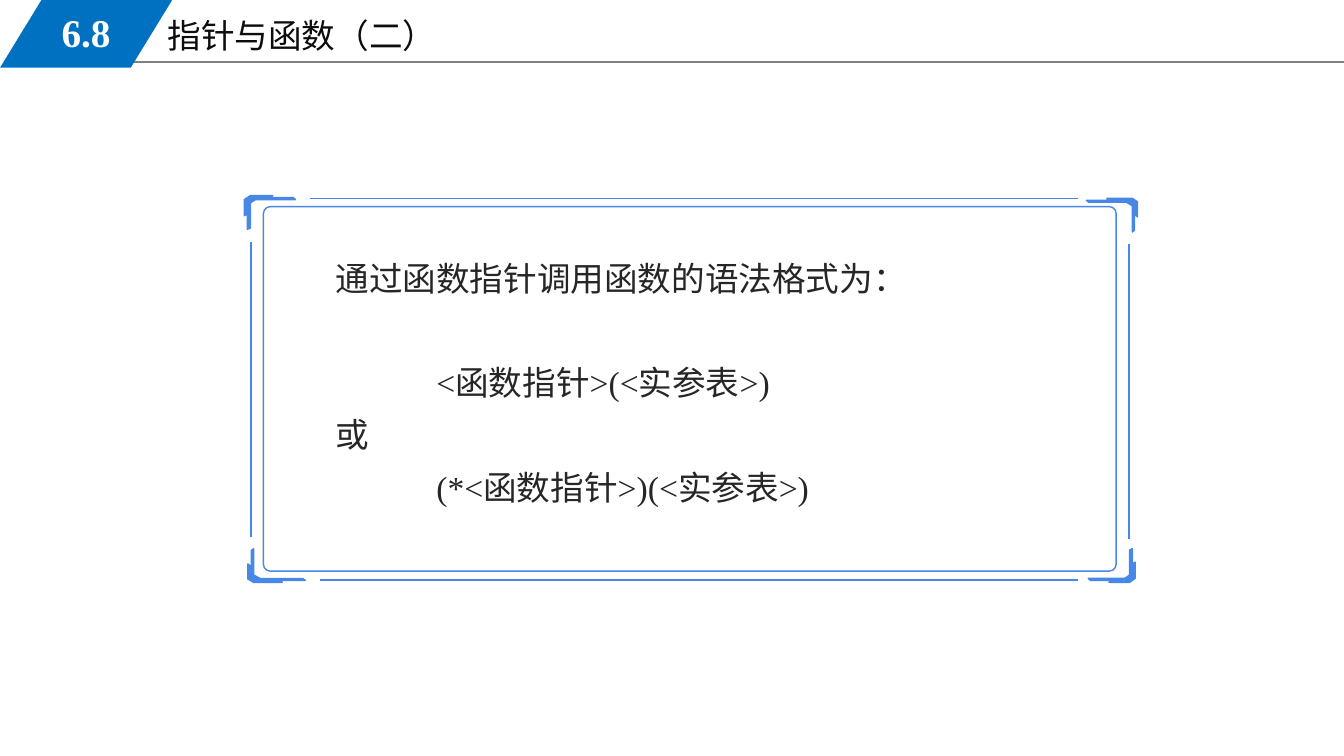
from lxml import etree
from pptx import Presentation
from pptx.dml.color import RGBColor
from pptx.enum import shapes, text
from pptx.oxml import ns
from pptx.util import Pt

BLUE = RGBColor(0x00, 0x70, 0xC0)
SKY = RGBColor(0x47, 0x88, 0xE6)
GREY = RGBColor(0x80, 0x80, 0x80)
INK = RGBColor(0x0D, 0x0D, 0x0D)
DARK = RGBColor(0x26, 0x26, 0x26)
WHITE = RGBColor(0xFF, 0xFF, 0xFF)
FONT = "Times New Roman"

# Bracket outlines in percent of width and height, from the outer corner inward
HOOK = [(12, 0), (56, 0), (50, 6), (96, 6), (100, 12), (22, 12),
        (12, 22), (12, 97), (6, 100), (6, 55), (0, 60), (0, 12)]
CLAW = [(10, 0), (60, 0), (54, 6), (100, 6), (96, 11), (22, 11),
        (10, 22), (10, 100), (6, 95), (6, 46), (0, 55), (0, 10)]


def add_line(slide, x1, y1, x2, y2, color, width):
    line = slide.shapes.add_connector(
        shapes.MSO_CONNECTOR.STRAIGHT, Pt(x1), Pt(y1), Pt(x2), Pt(y2))
    line.line.color.rgb = color
    line.line.width = Pt(width)
    etree.SubElement(line._element.spPr, ns.qn("a:effectLst"))


def add_box(slide, x, y, w, h):
    frame = slide.shapes.add_textbox(Pt(x), Pt(y), Pt(w), Pt(h)).text_frame
    frame.word_wrap = True
    return frame


def add_run(para, words, size, color, bold=False):
    run = para.add_run()
    run.text = words
    run.font.name = FONT
    run.font.size = Pt(size)
    run.font.bold = bold
    run.font.color.rgb = color


def add_tab(para, spot):
    tabs = etree.SubElement(para._p.get_or_add_pPr(), ns.qn("a:tabLst"))
    etree.SubElement(tabs, ns.qn("a:tab"), pos=str(Pt(spot)), algn="l")


def add_hook(slide, points, x, y, w, h):
    """Corner bracket; a negative w or h mirrors it."""
    spots = [(Pt(x + w * u / 100), Pt(y + h * v / 100)) for u, v in points]
    pen = slide.shapes.build_freeform(*spots[0])
    pen.add_line_segments(spots[1:], close=True)
    hook = pen.convert_to_shape()
    hook.shadow.inherit = False
    hook.fill.solid()
    hook.fill.fore_color.rgb = SKY
    hook.line.color.rgb = SKY
    hook.line.width = Pt(1)


def add_head(slide, x, y, w, h, number, title):
    # Rule and title
    add_line(slide, x + 81.4, y + 44.3, x + w, y + 44.3, GREY, 0.75)
    frame = add_box(slide, x + 112.5, y + 6.8, 408, h)
    add_run(frame.paragraphs[0], title, 24, INK)

    # Slanted badge with the section number
    badge = slide.shapes.add_shape(
        shapes.MSO_SHAPE.PARALLELOGRAM, Pt(x), Pt(y), Pt(123), Pt(h))
    badge.adjustments[0] = 0.612
    badge.shadow.inherit = False
    badge.fill.solid()
    badge.fill.fore_color.rgb = BLUE
    badge.line.fill.background()
    frame = add_box(slide, x + 18, y + 1.8, 87, 41.8)
    frame.vertical_anchor = text.MSO_ANCHOR.MIDDLE
    para = frame.paragraphs[0]
    para.alignment = text.PP_ALIGN.CENTER
    add_run(para, number, 28, WHITE, True)


def add_frame(slide, x, y, w, h):
    # Inner rounded panel
    panel = slide.shapes.add_shape(
        shapes.MSO_SHAPE.ROUNDED_RECTANGLE,
        Pt(x + 13.7), Pt(y + 7.9), Pt(w - 28.9), Pt(h - 15.9))
    panel.adjustments[0] = 0.019
    panel.shadow.inherit = False
    panel.fill.background()
    panel.line.color.rgb = SKY
    panel.line.width = Pt(1)

    # Corner brackets
    right, low = x + w, y + h
    add_hook(slide, HOOK, x, y, 36.5, 24)
    add_hook(slide, CLAW, right, y + 2, -36.5, 24)
    add_hook(slide, CLAW, x + 2.6, low, 41, -24)
    add_hook(slide, HOOK, right - 1.6, low, -33.5, -24)

    # Outer edges between the brackets
    for x1, y1, x2, y2 in [
            (x + 46.8, y + 2.3, right - 42.7, y + 2.3),
            (x + 54, low - 1.7, right - 42.7, low - 1.7),
            (x + 4.8, y + 33.1, x + 4.8, low - 32.4),
            (right - 6, y + 34.5, right - 6, low - 31)]:
        add_line(slide, x1, y1, x2, y2, SKY, 1)


def add_body(slide, x, y, w, h, rows):
    frame = add_box(slide, x, y, w, h)
    for i, (words, gap) in enumerate(rows):
        para = frame.add_paragraph() if i else frame.paragraphs[0]
        para.line_spacing = 1.3
        if gap:
            para.space_before = Pt(gap)
        add_tab(para, 72)
        add_run(para, words, 24, DARK)


def main():
    deck = Presentation()
    deck.slide_width, deck.slide_height = Pt(960), Pt(540)
    slide = deck.slides.add_slide(deck.slide_layouts[6])
    add_head(slide, 0, 0, 960, 48.4, "6.8", "指针与函数（二）")
    add_body(slide, 232.6, 172.1, 650, 196.6, [
        ("通过函数指针调用函数的语法格式为：", 0),
        ("\t<函数指针>(<实参表>)", 36.8),
        ("或", 0),
        ("\t(*<函数指针>)(<实参表>)", 0)])
    add_frame(slide, 174.5, 139.7, 638, 276.3)
    deck.save("out.pptx")


if __name__ == "__main__":
    main()
